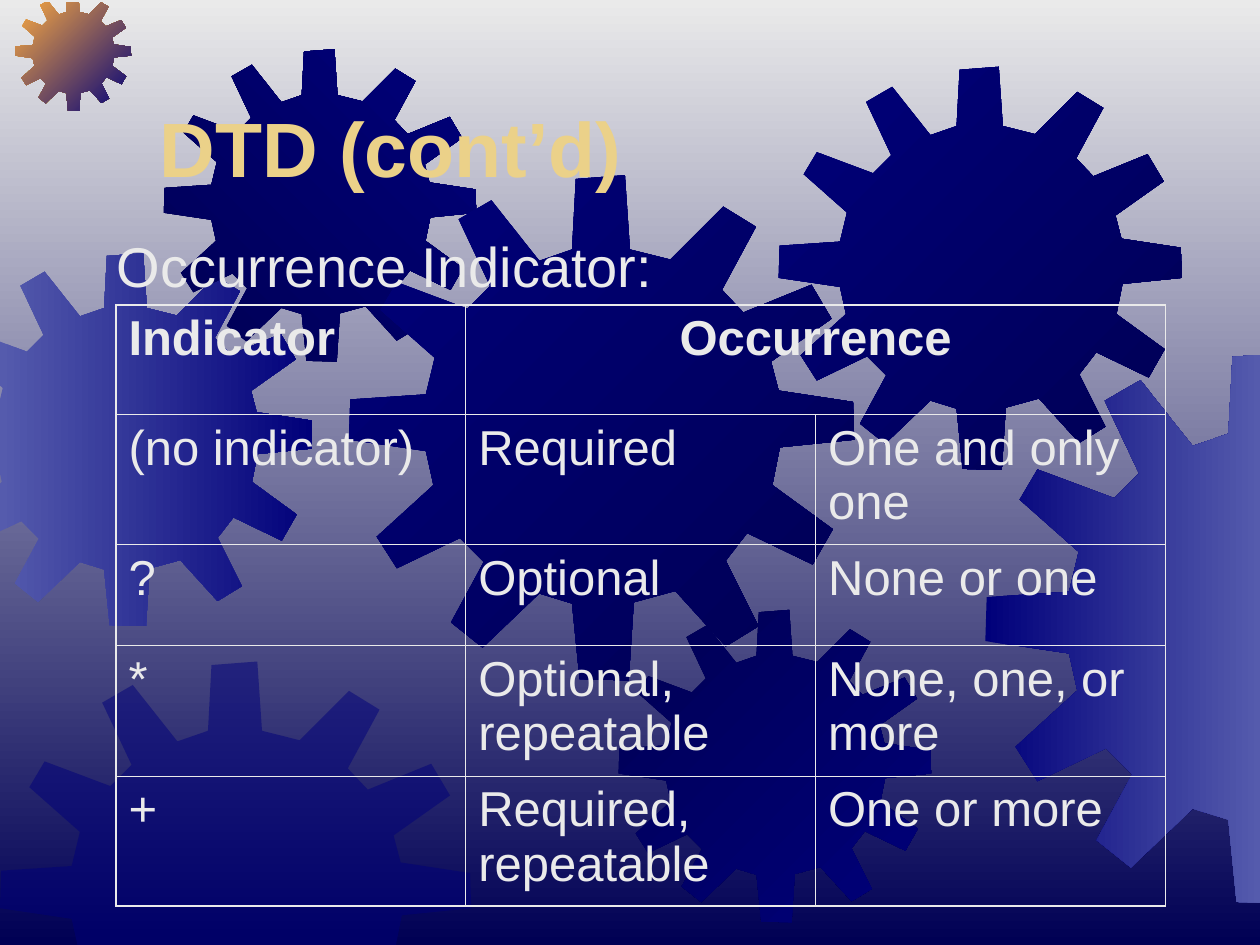
import pptx
import pptx.dml.color
import pptx.enum.text
import pptx.oxml
import pptx.oxml.ns
import pptx.util

INK = {"pale": "EAEAEA", "gold": "EBD189", "navy": "00007A", "dark": "000054",
       "mist": "555BAD", "amber": "FCAB40"}
FONT = "Arial"
WIDE, HIGH = 10, 7.5
TITLE = "DTD (cont’d)"
LEAD = "Occurrence Indicator:"
ROWS = [
    ("Indicator", "Occurrence", ""),
    ("(no indicator)", "Required", "One and only one"),
    ("?", "Optional", "None or one"),
    ("*", "Optional, repeatable", "None, one, or more"),
    ("+", "Required, repeatable", "One or more"),
]
TALL = [0.87, 1.03, 0.8, 1.03, 1.03]
TABLE = (0.92, 2.42, 8.33, sum(TALL))
THIN, THICK = 0.45, 1.08

TEETH = [
    (255, 67), (223, 59), (219, 0), (180, 3), (177, 59), (151, 68), (113, 20), (87, 35),
    (112, 88), (94, 106), (38, 85), (25, 107), (68, 145), (61, 174), (1, 178), (0, 210),
    (61, 219), (67, 246), (22, 287), (38, 312), (88, 288), (107, 307), (81, 355), (106, 375),
    (151, 332), (177, 340), (183, 400), (222, 401), (226, 339), (259, 330), (299, 374), (325, 358),
    (299, 306), (316, 284), (368, 309), (384, 281), (336, 246), (342, 216), (401, 210), (400, 180),
    (341, 171), (335, 148), (383, 114), (367, 87), (313, 109), (296, 91), (323, 41), (297, 25),
]
SPAN = 401
GEARS = [
    (-0.48, 2.01, 2.96, "mist", "navy", 0),
    (0.12, -0.04, 0.92, "amber", "navy", 45),
    (1.3, 0.39, 2.48, "dark", "navy", 315),
    (2.77, 1.39, 4.01, "navy", "dark", 45),
    (0, 5.25, 3.74, "navy", None, 0),
    (4.91, 4.84, 2.48, "dark", "navy", 45),
    (6.18, 0.53, 3.2, "navy", "dark", 45),
    (7.82, 2.8, 4.37, "navy", "mist", 0),
]
EDGES = [(0, 0, 1), (0, WIDE, -1), (1, 0.02, 1), (1, HIGH, -1)]

inch = pptx.util.Inches


def tint(name):
    return pptx.dml.color.RGBColor.from_string(INK[name])


def blend(fill, first, last, angle):
    fill.gradient()
    fill.gradient_angle = (360 - angle) % 360
    for stop, name in zip(fill.gradient_stops, (first, last)):
        stop.color.rgb = tint(name)


def trim(spots, axis, edge, sign):
    kept = []
    for a, b in zip(spots, spots[1:] + spots[:1]):
        ina, inb = ((p[axis] - edge) * sign >= 0 for p in (a, b))
        if ina:
            kept.append(a)
        if ina != inb:
            t = (edge - a[axis]) / (b[axis] - a[axis])
            kept.append(tuple(m + t * (n - m) for m, n in zip(a, b)))
    return kept


def add_gear(slide, left, top, size, first, last, angle):
    spots = [(left + x / SPAN * size, top + y / SPAN * size) for x, y in TEETH]
    for edge in EDGES:
        spots = trim(spots, *edge)
    spots = [(inch(x), inch(y)) for x, y in spots]
    pen = slide.shapes.build_freeform(*spots[0])
    pen.add_line_segments(spots[1:], close=True)
    gear = pen.convert_to_shape()
    gear.shadow.inherit = False
    gear.line.fill.background()
    if last:
        blend(gear.fill, first, last, angle)
    else:
        gear.fill.solid()
        gear.fill.fore_color.rgb = tint(first)
        hue = gear.fill._xPr.find(".//" + pptx.oxml.ns.qn("a:srgbClr"))
        hue.append(pptx.oxml.parse_xml(
            f'<a:alpha {pptx.oxml.ns.nsdecls("a")} val="50000"/>'))


def write(frame, text, size, name="pale", bold=False):
    frame.word_wrap = True
    para = frame.paragraphs[0]
    para.text = text
    font = para.font
    font.name, font.size, font.bold = FONT, pptx.util.Pt(size), bold
    font.color.rgb = tint(name)
    return para


def add_box(slide, *place):
    return slide.shapes.add_textbox(*map(inch, place)).text_frame


def rule(cell, sides):
    for at, (side, width) in enumerate(sides):
        cell._tc.get_or_add_tcPr().insert(at, pptx.oxml.parse_xml(
            f'<a:ln{side} {pptx.oxml.ns.nsdecls("a")} w="{int(pptx.util.Pt(width))}">'
            f'<a:solidFill><a:srgbClr val="{INK["pale"]}"/></a:solidFill></a:ln{side}>'))


def add_grid(slide):
    rows, cols = len(ROWS), len(ROWS[0])
    grid = slide.shapes.add_table(rows, cols, *map(inch, TABLE)).table
    grid.first_row = grid.horz_banding = False
    for col in grid.columns:
        col.width = inch(TABLE[2] / cols)
    for r, row in enumerate(ROWS):
        grid.rows[r].height = inch(TALL[r])
        for c, text in enumerate(row):
            cell = grid.cell(r, c)
            cell.fill.background()
            outer = [("L", c == 0), ("R", c == cols - 1), ("T", r == 0), ("B", r == rows - 1)]
            rule(cell, [(side, THICK if out else THIN) for side, out in outer])
            if text:
                write(cell.text_frame, text, 28, bold=r == 0)
    head = grid.cell(0, 1)
    head.merge(grid.cell(0, 2))
    head.text_frame.paragraphs[0].alignment = pptx.enum.text.PP_ALIGN.CENTER


def main():
    deck = pptx.Presentation()
    deck.slide_width, deck.slide_height = inch(WIDE), inch(HIGH)
    slide = deck.slides.add_slide(deck.slide_layouts[6])
    blend(slide.background.fill, "pale", "dark", 90)
    for gear in GEARS:
        add_gear(slide, *gear)
    title = add_box(slide, 1.17, 0.33, 8.5, 1.25)
    title.vertical_anchor = pptx.enum.text.MSO_ANCHOR.BOTTOM
    write(title, TITLE, 44, "gold", True)
    lead = add_box(slide, 0.83, 1.75, 8.5, 4.5)
    lead.margin_top = inch(0.09)
    write(lead, LEAD, 32)
    add_grid(slide)
    deck.save("out.pptx")


if __name__ == "__main__":
    main()
